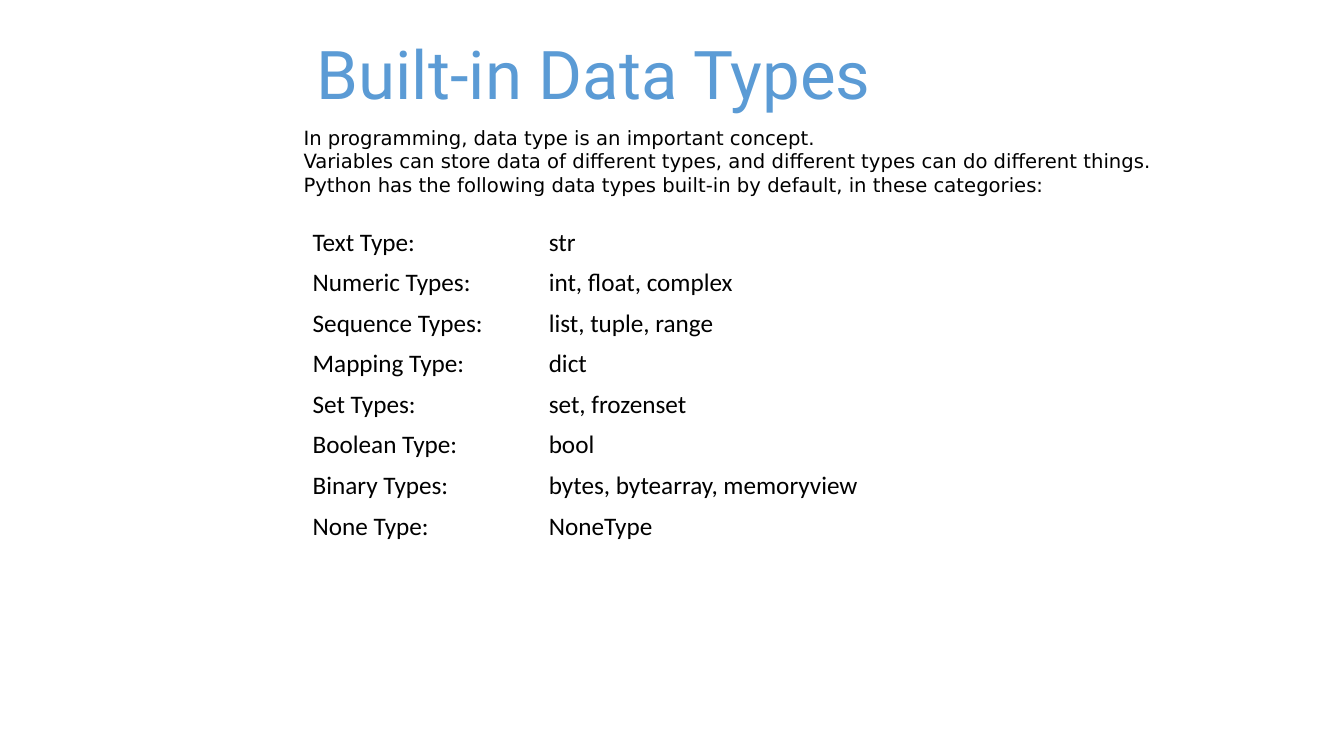
"""Build a slide that lists the built-in data types of Python."""
from dataclasses import dataclass

from pptx import Presentation
from pptx import util as u
from pptx.dml import color
from pptx.enum import shapes, text


@dataclass(frozen=True)
class Theme:
    """Colours, fonts and type sizes of the slide."""
    white: color.RGBColor = color.RGBColor(255, 255, 255)
    ink: color.RGBColor = color.RGBColor(0, 0, 0)
    blue: color.RGBColor = color.RGBColor(0x5B, 0x9B, 0xD5)
    head: tuple = ("Roboto", 48)
    note: tuple = ("DejaVu Sans", 14)
    cell: tuple = ("Calibri", 18)


THEME = Theme()
LEFT = u.Cm(7.65)
TITLE = "Built-in Data Types"
INTRO = (
    "In programming, data type is an important concept.",
    "Variables can store data of different types, and different types can do different things.",
    "Python has the following data types built-in by default, in these categories:",
)
TYPES = {
    "Text Type:": "str",
    "Numeric Types:": "int, float, complex",
    "Sequence Types:": "list, tuple, range",
    "Mapping Type:": "dict",
    "Set Types:": "set, frozenset",
    "Boolean Type:": "bool",
    "Binary Types:": "bytes, bytearray, memoryview",
    "None Type:": "NoneType",
}


def apply(item, form):
    """Set each attribute named in a dict of format values."""
    for name, value in form.items():
        setattr(item, name, value)


def paint(item, tone):
    """Give a shape or cell a solid fill."""
    item.fill.solid()
    item.fill.fore_color.rgb = tone


def write(frame, lines, style, tone, align=text.PP_ALIGN.LEFT):
    """Fill a text frame with one paragraph per line."""
    face, size = style
    frame.text = "\n".join(lines)
    for para in frame.paragraphs:
        para.alignment = align
        for run in para.runs:
            apply(run.font, {"name": face, "size": u.Pt(size), "bold": False})
            run.font.color.rgb = tone


def add_title(slide):
    """Place and format the title."""
    title = slide.shapes.title
    apply(title, {"left": LEFT, "top": u.Cm(0.69),
                  "width": u.Cm(14.63), "height": u.Cm(2.31)})
    write(title.text_frame, [TITLE], THEME.head, THEME.blue, text.PP_ALIGN.CENTER)
    apply(title.text_frame, {
        "word_wrap": False,
        "auto_size": text.MSO_AUTO_SIZE.SHAPE_TO_FIT_TEXT,
        "vertical_anchor": text.MSO_ANCHOR.TOP,
    })


def add_intro(slide):
    """Add the introduction on a white panel."""
    panel = slide.shapes.add_shape(
        shapes.MSO_SHAPE.RECTANGLE, LEFT, u.Cm(2.97), u.Cm(22.28), u.Cm(2.16))
    panel.shadow.inherit = False
    paint(panel, THEME.white)
    panel.line.fill.background()
    write(panel.text_frame, INTRO, THEME.note, THEME.ink)
    apply(panel.text_frame, {
        "word_wrap": True,
        "auto_size": text.MSO_AUTO_SIZE.SHAPE_TO_FIT_TEXT,
        "vertical_anchor": text.MSO_ANCHOR.MIDDLE,
        "margin_left": 0, "margin_right": 0,
        "margin_top": u.Cm(0.18), "margin_bottom": u.Cm(0.18),
    })


def add_types(slide):
    """Add the table of categories and their types."""
    widths = u.Cm(6.05), u.Cm(9.07)
    high = u.Cm(1)
    table = slide.shapes.add_table(
        len(TYPES), len(widths), LEFT, u.Cm(5.59),
        sum(widths), high * len(TYPES)).table
    apply(table, {"first_row": False, "horz_banding": False})
    for col, width in zip(table.columns, widths):
        col.width = width
    pad = u.Cm(0.13)
    for row, pair in zip(table.rows, TYPES.items()):
        for cell, words, left in zip(row.cells, pair, (u.Cm(0.23), pad)):
            paint(cell, THEME.white)
            write(cell.text_frame, [words], THEME.cell, THEME.ink)
            apply(cell, {"margin_left": left, "margin_right": pad,
                         "margin_top": pad, "margin_bottom": pad})


def main():
    """Build and save the slide."""
    deck = Presentation()
    apply(deck, {"slide_width": u.Cm(33.87), "slide_height": u.Cm(19.05)})
    slide = deck.slides.add_slide(deck.slide_layouts.get_by_name("Title Only"))
    add_types(slide)
    add_intro(slide)
    add_title(slide)
    deck.save("out.pptx")


if __name__ == "__main__":
    main()
